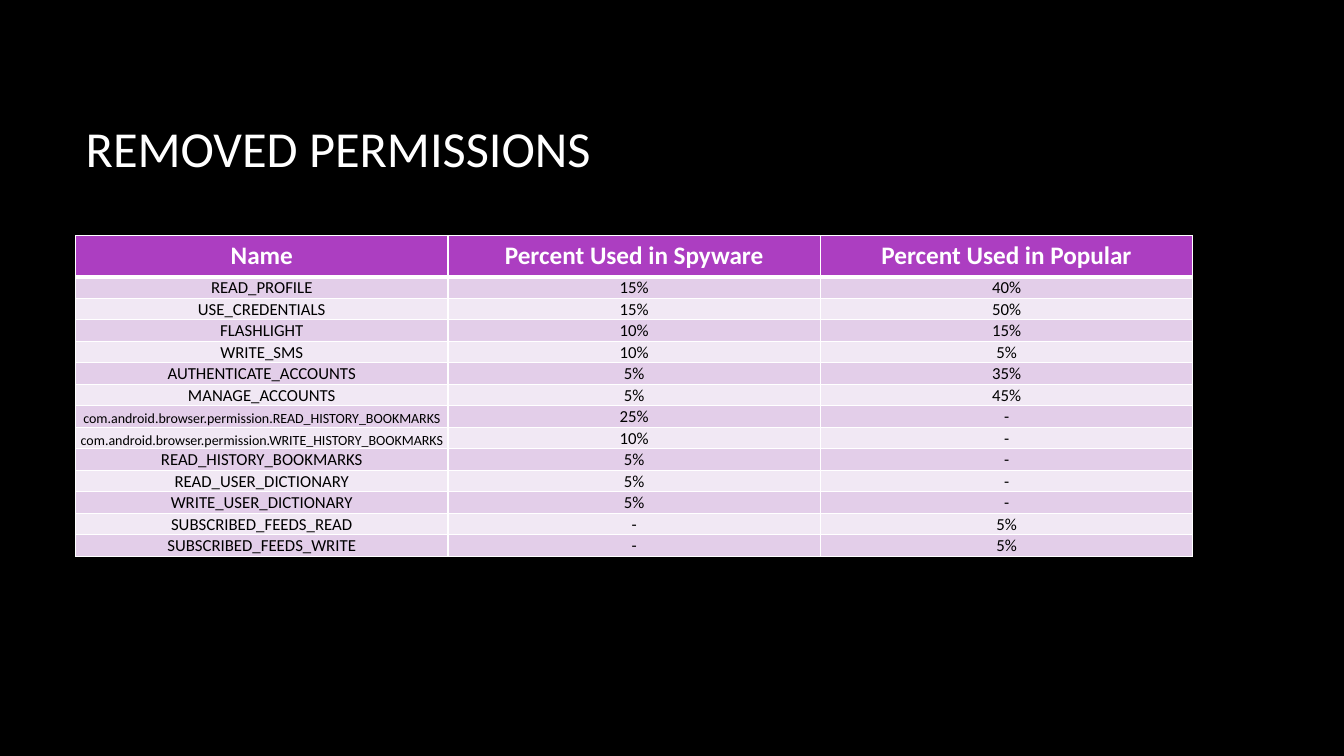
from dataclasses import dataclass

from lxml import etree
from pptx import Presentation
from pptx.dml.color import RGBColor
from pptx.enum import text
from pptx.oxml import ns
from pptx.util import Inches, Pt


@dataclass(frozen=True)
class Theme:
    font: str = "Calibri"
    background: str = "000000"
    light: str = "FFFFFF"
    dark: str = "000000"
    header: str = "AC3EC1"
    bands: tuple = ("E3CEE9", "F1E8F4")
    title_size: int = 36
    header_size: int = 18
    body_size: int = 12
    long_name_size: int = 10
    border: int = 1
    header_rule: int = 3


THEME = Theme()
LONG_NAME = 30
HEADER_HEIGHT = 0.4
HEADERS = ("Name", "Percent Used in Spyware", "Percent Used in Popular")
PERMISSIONS = (
    ("READ_PROFILE", "15%", "40%"),
    ("USE_CREDENTIALS", "15%", "50%"),
    ("FLASHLIGHT", "10%", "15%"),
    ("WRITE_SMS", "10%", "5%"),
    ("AUTHENTICATE_ACCOUNTS", "5%", "35%"),
    ("MANAGE_ACCOUNTS", "5%", "45%"),
    ("com.android.browser.permission.READ_HISTORY_BOOKMARKS", "25%", "-"),
    ("com.android.browser.permission.WRITE_HISTORY_BOOKMARKS", "10%", "-"),
    ("READ_HISTORY_BOOKMARKS", "5%", "-"),
    ("READ_USER_DICTIONARY", "5%", "-"),
    ("WRITE_USER_DICTIONARY", "5%", "-"),
    ("SUBSCRIBED_FEEDS_READ", "-", "5%"),
    ("SUBSCRIBED_FEEDS_WRITE", "-", "5%"),
)


def add_run(p, words, size, color, bold=False):
    r = p.add_run()
    r.text = words
    r.font.name = THEME.font
    r.font.size = Pt(size)
    r.font.bold = bold
    r.font.color.rgb = RGBColor.from_string(color)


def set_borders(cell, top, bottom):
    """Draw the four cell borders; top and bottom are widths in points."""
    tc_pr = cell._tc.get_or_add_tcPr()
    widths = {"L": THEME.border, "R": THEME.border, "T": top, "B": bottom}
    for side, width in widths.items():
        line = etree.SubElement(tc_pr, ns.qn(f"a:ln{side}"), w=str(Pt(width)))
        fill = etree.SubElement(line, ns.qn("a:solidFill"))
        etree.SubElement(fill, ns.qn("a:srgbClr"), val=THEME.light)


def fill_header_cell(cell, words):
    set_borders(cell, THEME.border, THEME.header_rule)
    cell.fill.solid()
    cell.fill.fore_color.rgb = RGBColor.from_string(THEME.header)
    p = cell.text_frame.paragraphs[0]
    p.alignment = text.PP_ALIGN.CENTER
    add_run(p, words, THEME.header_size, THEME.light, bold=True)


def fill_body_cell(cell, words, row):
    set_borders(cell, THEME.header_rule if row == 0 else THEME.border, THEME.border)
    cell.fill.solid()
    cell.fill.fore_color.rgb = RGBColor.from_string(THEME.bands[row % 2])
    cell.vertical_anchor = text.MSO_ANCHOR.BOTTOM
    cell.margin_left = cell.margin_right = cell.margin_top = Inches(0.01)
    cell.margin_bottom = 0
    p = cell.text_frame.paragraphs[0]
    p.alignment = text.PP_ALIGN.CENTER
    size = THEME.long_name_size if len(words) > LONG_NAME else THEME.body_size
    add_run(p, words, size, THEME.dark)


def place_title(s, words, left, top, width, height):
    sp = s.shapes.title
    sp.left, sp.top = Inches(left), Inches(top)
    sp.width, sp.height = Inches(width), Inches(height)
    tf = sp.text_frame
    tf.word_wrap = True
    tf.auto_size = text.MSO_AUTO_SIZE.NONE
    tf.vertical_anchor = text.MSO_ANCHOR.MIDDLE
    p = tf.paragraphs[0]
    p.alignment = text.PP_ALIGN.LEFT
    add_run(p, words, THEME.title_size, THEME.light)


def add_permission_table(s, left, top, width, height):
    frame = s.shapes.add_table(len(PERMISSIONS) + 1, len(HEADERS), Inches(left),
                               Inches(top), Inches(width), Inches(height))
    table = frame.table
    for column in table.columns:
        column.width = Inches(width / len(HEADERS))
    for row in table.rows:
        row.height = Inches((height - HEADER_HEIGHT) / len(PERMISSIONS))
    table.rows[0].height = Inches(HEADER_HEIGHT)
    for col, words in enumerate(HEADERS):
        fill_header_cell(table.cell(0, col), words)
    for row, values in enumerate(PERMISSIONS):
        for col, words in enumerate(values):
            fill_body_cell(table.cell(row + 1, col), words, row)


def add_permissions_slide(prs):
    s = prs.slides.add_slide(prs.slide_layouts[5])
    s.background.fill.solid()
    s.background.fill.fore_color.rgb = RGBColor.from_string(THEME.background)
    place_title(s, "REMOVED PERMISSIONS", 0.75, 0.67, 11.08, 1.59)
    add_permission_table(s, 0.75, 2.34, 11.08, 3.14)


def main():
    prs = Presentation()
    prs.slide_width, prs.slide_height = Inches(13.33), Inches(7.5)
    add_permissions_slide(prs)
    prs.save("out.pptx")


if __name__ == "__main__":
    main()
